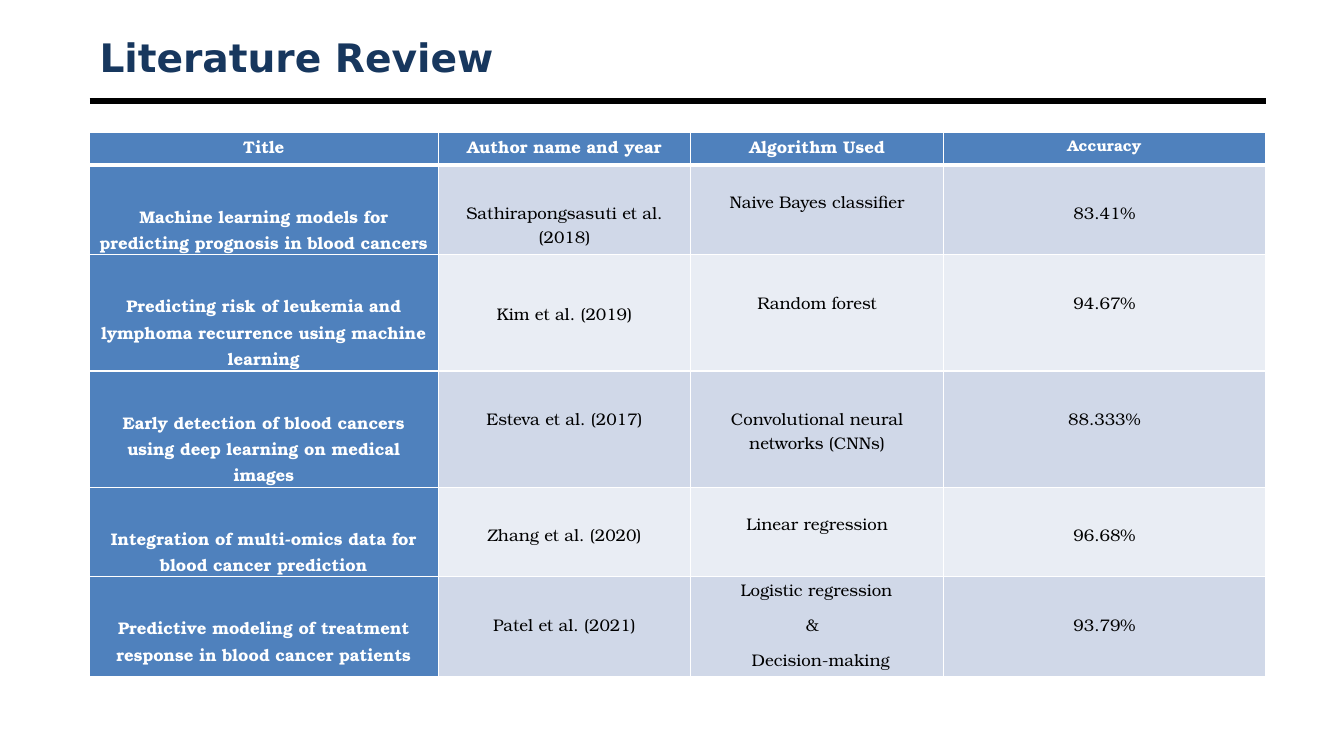
from lxml import etree
from pptx import Presentation
from pptx.dml.color import RGBColor
from pptx.enum.shapes import MSO_CONNECTOR
from pptx.enum.text import MSO_ANCHOR, PP_ALIGN
from pptx.oxml.ns import qn
from pptx.util import Pt

STRAIGHT = MSO_CONNECTOR.STRAIGHT
TOP, MIDDLE = MSO_ANCHOR.TOP, MSO_ANCHOR.MIDDLE
LEFT, CENTER = PP_ALIGN.LEFT, PP_ALIGN.CENTER
WHITE = RGBColor(0xFF, 0xFF, 0xFF)
BLACK = RGBColor(0, 0, 0)
NAVY = RGBColor(0x17, 0x37, 0x5E)
BLUE = RGBColor(0x4F, 0x81, 0xBD)
BANDS = RGBColor(0xD0, 0xD8, 0xE8), RGBColor(0xE9, 0xED, 0xF4)
TITLE_FONT, TABLE_FONT = "DejaVu Sans", "TeX Gyre Bonum"

COLUMNS = [249, 180.5, 180.5, 230]
HEIGHTS = [23.5, 64, 83, 83, 64, 71.5]
HEADERS = ["Title", "Author name and year", "Algorithm Used", "Accuracy"]
STUDIES = [
    ["Machine learning models for predicting prognosis in blood cancers",
     "Sathirapongsasuti et al. (2018)", "Naive Bayes classifier", "83.41%"],
    ["Predicting risk of leukemia and lymphoma recurrence using machine learning",
     "Kim et al. (2019)", "Random forest", "94.67%"],
    ["Early detection of blood cancers using deep learning on medical images",
     "Esteva et al. (2017)", "Convolutional neural networks (CNNs)", "88.333%"],
    ["Integration of multi-omics data for blood cancer prediction",
     "Zhang et al. (2020)", "Linear regression", "96.68%"],
    ["Predictive modeling of treatment response in blood cancer patients",
     "Patel et al. (2021)", "Logistic regression\n&\nDecision-making", "93.79%"],
]
TITLE_DROP, BODY_DROP, SHORT_DROP = 26.5, 25, 17
DROPS = {(1, 2): SHORT_DROP, (4, 2): SHORT_DROP, (2, 1): 0, (5, 2): 0}
INDENTS = [30.5, 77, 38.5]


def add_run(p, text, font, size, color, bold):
    """Add one formatted run to a paragraph."""
    r = p.add_run()
    r.text = text
    r.font.name, r.font.size, r.font.bold = font, Pt(size), bold
    r.font.color.rgb = color


def add_heading(s, x, y, w, h):
    """Place the slide title and the rule along the bottom of the box."""
    tf = s.shapes.add_textbox(Pt(x), Pt(y), Pt(w), Pt(38)).text_frame
    tf.word_wrap = True
    tf.vertical_anchor = MIDDLE
    add_run(tf.paragraphs[0], "Literature Review", TITLE_FONT, 28, NAVY, True)
    rule = s.shapes.add_connector(STRAIGHT, Pt(x), Pt(y + h), Pt(x + w), Pt(y + h))
    rule.line.color.rgb = BLACK
    rule.line.width = Pt(4.5)
    etree.SubElement(rule.element.spPr, qn("a:effectLst"))


def set_borders(cell, row):
    """Draw white cell borders, thicker below the header row."""
    tc_pr = cell._tc.get_or_add_tcPr()
    widths = {"L": 1, "R": 1, "T": 3 if row == 1 else 1, "B": 3 if row == 0 else 1}
    for i, (side, width) in enumerate(widths.items()):
        ln = etree.Element(qn(f"a:ln{side}"), w=str(Pt(width)))
        fill = etree.SubElement(ln, qn("a:solidFill"))
        etree.SubElement(fill, qn("a:srgbClr"), val=str(WHITE))
        tc_pr.insert(i, ln)


def fill_cell(cell, text, row, col):
    """Write and format one table cell."""
    strong = row == 0 or col == 0
    drop = 0 if row == 0 else TITLE_DROP if col == 0 else DROPS.get((row, col), BODY_DROP)
    cell.fill.solid()
    cell.fill.fore_color.rgb = BLUE if strong else BANDS[(row - 1) % 2]
    cell.margin_left = cell.margin_right = Pt(5)
    cell.margin_top, cell.margin_bottom = Pt(drop), Pt(0)
    cell.vertical_anchor = MIDDLE if (row, col) == (2, 1) else TOP
    set_borders(cell, row)
    tf = cell.text_frame
    lines = text.split("\n")
    for i, line in enumerate(lines):
        p = tf.add_paragraph() if i else tf.paragraphs[0]
        p.alignment = CENTER if len(lines) == 1 else LEFT
        p.line_spacing = 1.07
        p.space_after = Pt(8)
        if len(lines) > 1:
            p._p.get_or_add_pPr().set("marL", str(Pt(INDENTS[i])))
        size = 11 if (row, col) == (0, 3) else 12
        add_run(p, line, TABLE_FONT, size, WHITE if strong else BLACK, strong)


def add_review_table(s, x, y, w, h):
    """Place the table of studies in the box."""
    rows = [HEADERS] + STUDIES
    table = s.shapes.add_table(len(rows), len(COLUMNS), Pt(x), Pt(y), Pt(w), Pt(h)).table
    table.first_col = True
    for column, width in zip(table.columns, COLUMNS):
        column.width = Pt(width)
    for i, texts in enumerate(rows):
        table.rows[i].height = Pt(HEIGHTS[i])
        for j, text in enumerate(texts):
            fill_cell(table.cell(i, j), text, i, j)


def main():
    """Build and save the slide."""
    prs = Presentation()
    prs.slide_width, prs.slide_height = Pt(960), Pt(540)
    s = prs.slides.add_slide(prs.slide_layouts[6])
    add_heading(s, 64, 21.5, 840, 50.5)
    add_review_table(s, 64, 94.5, sum(COLUMNS), sum(HEIGHTS))
    prs.save("out.pptx")


if __name__ == "__main__":
    main()
